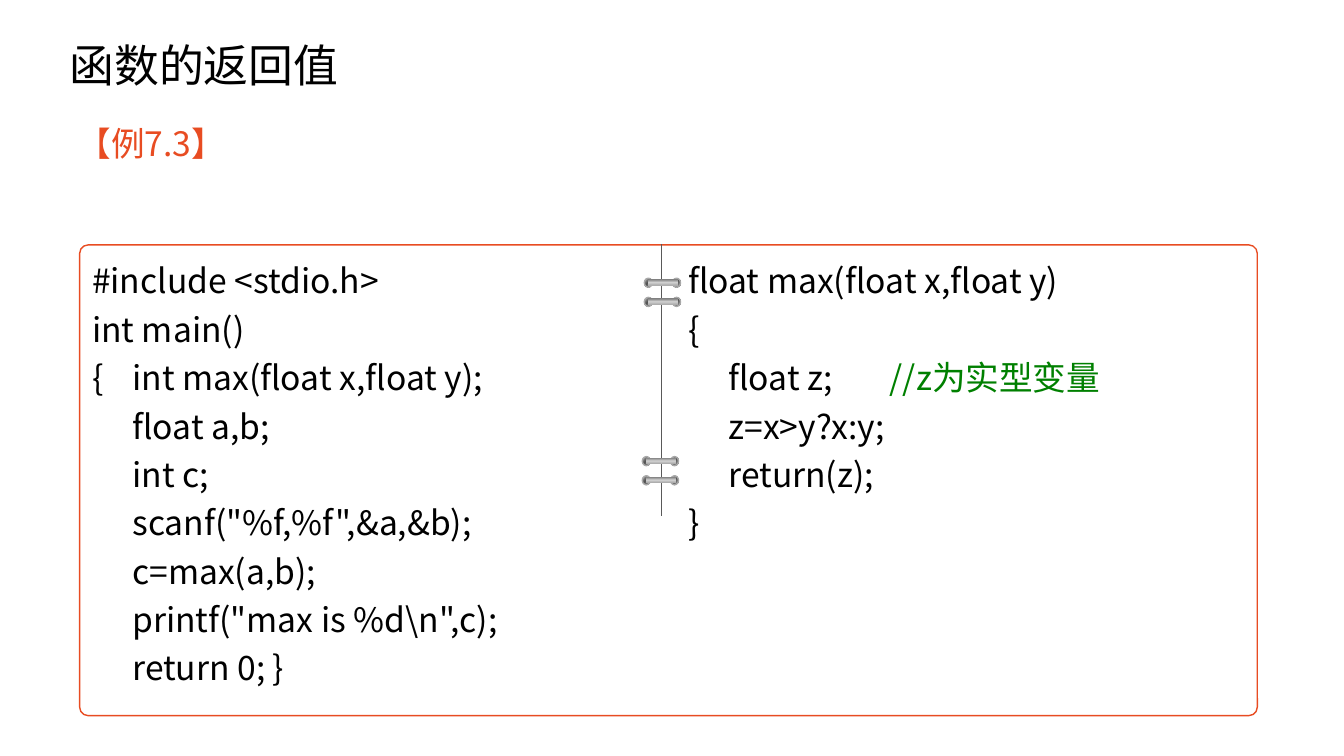
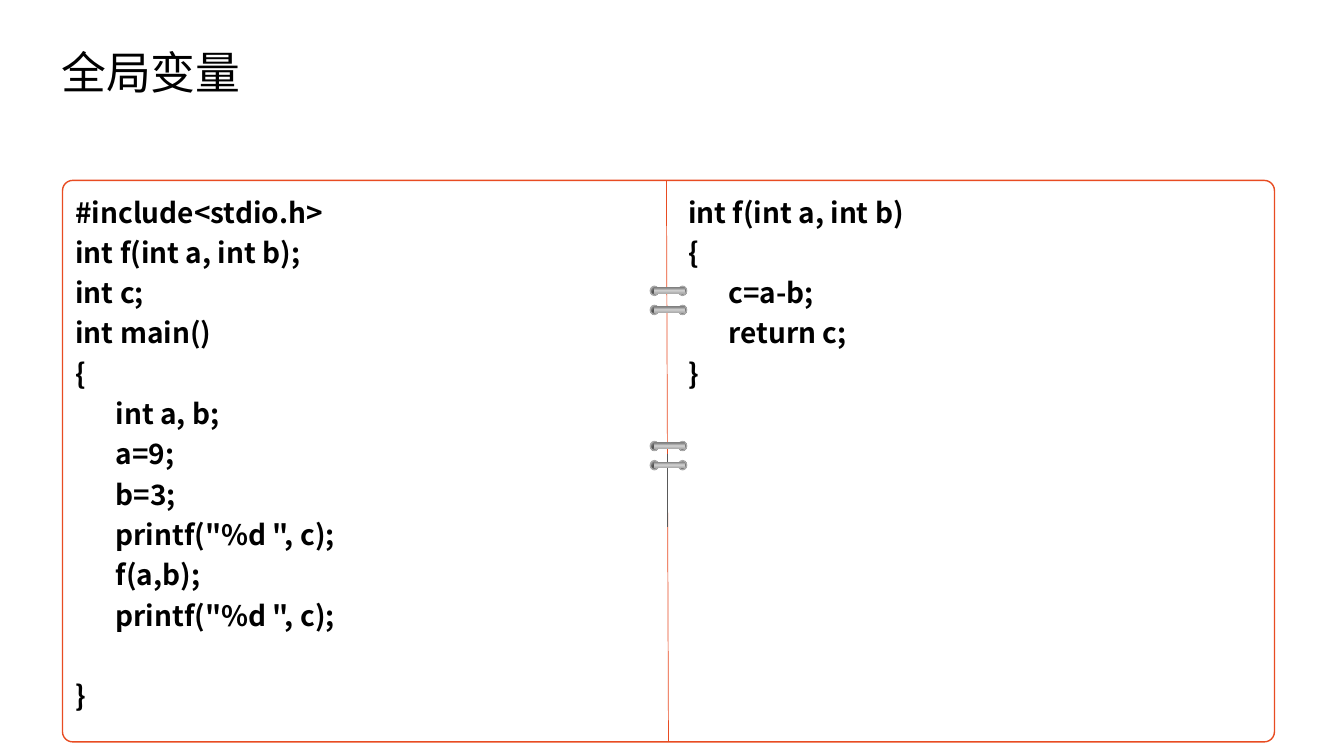
from lxml import etree
from pptx import Presentation
from pptx.dml.color import RGBColor
from pptx.enum.shapes import MSO_CONNECTOR, MSO_SHAPE
from pptx.enum.text import MSO_ANCHOR, PP_ALIGN
from pptx.oxml.ns import qn
from pptx.util import Emu, Inches, Pt

STRAIGHT = MSO_CONNECTOR.STRAIGHT
ROUNDED, OVAL, RECTANGLE = MSO_SHAPE.ROUNDED_RECTANGLE, MSO_SHAPE.OVAL, MSO_SHAPE.RECTANGLE
TOP, MIDDLE, LEFT = MSO_ANCHOR.TOP, MSO_ANCHOR.MIDDLE, PP_ALIGN.LEFT

FONT = "Noto Sans CJK SC"
BLACK = RGBColor(0x00, 0x00, 0x00)
WHITE = RGBColor(0xFF, 0xFF, 0xFF)
ORANGE = RGBColor(0xE8, 0x4C, 0x22)
GREEN = RGBColor(0x00, 0x80, 0x00)
GRAY = RGBColor(0x59, 0x59, 0x59)
SILVER = RGBColor(0xA9, 0xA9, 0xA9)
HOLE_STOPS = ((20, "808080"), (51, "525252"), (86, "A5A5A5"))
BAR_STOPS = ((9, "808080"), (57, "D2D2D2"), (98, "AEAEAE"))

COLUMN_GAP = 0.39
TAB_STOPS = (0.4, 2.0)
RING_PITCH = 0.19
HOLE_WIDTH, HOLE_HEIGHT, HOLE_STEP = 0.08, 0.09, 0.28
COMMENT = "//"

SLIDES = [
    {
        "title": "函数的返回值",
        "title_box": (0.59, 0.25, 11.5, 0.85),
        "example": "【例7.3】",
        "panel": (0.79, 2.43, 11.68, 4.67),
        "size": 24, "bold": False, "gap_before": {},
        "code": [
            "#include <stdio.h>",
            "int main()",
            "{\tint max(float x,float y);",
            "\tfloat a,b;",
            "\tint c;",
            '\tscanf("%f,%f",&a,&b);',
            "\tc=max(a,b);",
            '\tprintf("max is %d\\n",c);',
            "\treturn 0; }",
            "float max(float x,float y)",
            "{",
            "\tfloat z;\t//z为实型变量",
            "\tz=x>y?x:y;",
            "\treturn(z);",
            "}",
        ],
        "dividers": [((6.56, 2.42), (6.56, 5.12), GRAY)],
        "bindings": [(6.39, 2.76), (6.37, 4.53)],
    },
    {
        "title": "全局变量",
        "title_box": (0.51, 0.02, 11.5, 1.45),
        "example": None,
        "panel": (0.62, 1.79, 12.02, 5.57),
        "size": 20, "bold": True, "gap_before": {11: 28.8},
        "code": [
            "#include<stdio.h>",
            "int f(int a, int b);",
            "int c;",
            "int main()",
            "{",
            "\tint a, b;",
            "\ta=9;",
            "\tb=3;",
            '\tprintf("%d ", c);',
            "\tf(a,b);",
            '\tprintf("%d ", c);',
            "}",
            "int f(int a, int b)",
            "{",
            "\tc=a-b;",
            "\treturn c;",
            "}",
        ],
        "dividers": [((6.61, 1.79), (6.63, 7.35), ORANGE),
                     ((6.62, 4.5), (6.62, 5.23), GRAY)],
        "bindings": [(6.45, 2.84), (6.45, 4.38)],
    },
]


def inches(*lengths):
    return [Inches(length) for length in lengths]


def format_span(span, size, color, bold=False):
    span.font.name, span.font.size, span.font.bold = FONT, Pt(size), bold
    span.font.color.rgb = color
    east_asian = etree.Element(qn("a:ea"), typeface=FONT)
    span.font._element.find(qn("a:latin")).addnext(east_asian)


def add_label(slide, place, text, size, color, anchor, line_spacing):
    box = slide.shapes.add_textbox(*inches(*place))
    frame = box.text_frame
    frame.word_wrap, frame.vertical_anchor = True, anchor
    para = frame.paragraphs[0]
    para.text, para.line_spacing = text, line_spacing
    format_span(para.runs[0], size, color)
    return para


def set_tab_stops(para):
    tabs = etree.SubElement(para._p.get_or_add_pPr(), qn("a:tabLst"))
    for position in TAB_STOPS:
        etree.SubElement(tabs, qn("a:tab"), pos=str(Inches(position)), algn="l")


def add_code_panel(slide, content):
    """Add the rounded frame whose code flows through two columns."""
    panel = slide.shapes.add_shape(ROUNDED, *inches(*content["panel"]))
    panel.adjustments[0] = 0.018
    panel.shadow.inherit = False
    panel.fill.solid()
    panel.fill.fore_color.rgb = WHITE
    panel.line.color.rgb, panel.line.width = ORANGE, Pt(1)
    frame = panel.text_frame
    frame.word_wrap, frame.vertical_anchor = True, TOP
    body = frame._txBody.bodyPr
    body.set("numCol", "2")
    body.set("spcCol", str(Inches(COLUMN_GAP)))
    for index, line in enumerate(content["code"]):
        para = frame.add_paragraph() if index else frame.paragraphs[0]
        para.alignment, para.line_spacing = LEFT, 1.2
        if index in content["gap_before"]:
            para.space_before = Pt(content["gap_before"][index])
        set_tab_stops(para)
        code, mark, remark = line.partition(COMMENT)
        for text, color in ((code, BLACK), (mark + remark, GREEN)):
            if text:
                span = para.add_run()
                span.text = text
                format_span(span, content["size"], color, content["bold"])


def add_divider(slide, start, end, color):
    line = slide.shapes.add_connector(STRAIGHT, *inches(*start, *end))
    line.line.color.rgb, line.line.width = color, Pt(0.5)
    etree.SubElement(line._element.spPr, qn("a:effectLst"))


def add_metal_part(group, kind, place, stops, radial):
    part = group.shapes.add_shape(kind, *inches(*place))
    part.shadow.inherit = False
    if radial:
        part.line.color.rgb, part.line.width = SILVER, Pt(1)
    else:
        part.line.fill.background()
    gradient = etree.Element(qn("a:gradFill"), rotWithShape="1")
    stop_list = etree.SubElement(gradient, qn("a:gsLst"))
    for share, color in stops:
        stop = etree.SubElement(stop_list, qn("a:gs"), pos=str(share * 1000))
        etree.SubElement(stop, qn("a:srgbClr"), val=color)
    if radial:
        shade = etree.SubElement(gradient, qn("a:path"))
        shade.set("path", "circle")
        etree.SubElement(shade, qn("a:fillToRect"), l="100000", t="100000")
    else:
        etree.SubElement(gradient, qn("a:lin"), ang="5400000", scaled="0")
    part._element.spPr.find(qn("a:prstGeom")).addnext(gradient)


def add_binding(slide, left, top):
    """Add a pair of metal rings across the divider."""
    group = slide.shapes.add_group_shape()
    for row in range(2):
        ring_top = top + row * RING_PITCH
        for hole_left in (left + HOLE_STEP, left):
            add_metal_part(group, OVAL, (hole_left, ring_top, HOLE_WIDTH, HOLE_HEIGHT),
                           HOLE_STOPS, True)
        add_metal_part(group, RECTANGLE, (left + 0.04, ring_top + 0.01, 0.3, 0.06),
                       BAR_STOPS, False)


def build_slide(deck, content):
    slide = deck.slides.add_slide(deck.slide_layouts[6])
    add_label(slide, content["title_box"], content["title"], 32, BLACK, MIDDLE, 0.9)
    if content["example"]:
        para = add_label(slide, (0.67, 0.97, 11.8, 0.6), content["example"],
                         24, ORANGE, TOP, 1.5)
        para.space_before = Pt(10)
        indent = Inches(0.1)
        properties = para._p.get_or_add_pPr()
        properties.set("marL", str(indent))
        properties.set("indent", str(Emu(-indent)))
    add_code_panel(slide, content)
    for start, end, color in content["dividers"]:
        add_divider(slide, start, end, color)
    for left, top in content["bindings"]:
        add_binding(slide, left, top)


def main():
    deck = Presentation()
    deck.slide_width, deck.slide_height = inches(13.33, 7.5)
    for content in SLIDES:
        build_slide(deck, content)
    deck.save("out.pptx")


if __name__ == "__main__":
    main()
